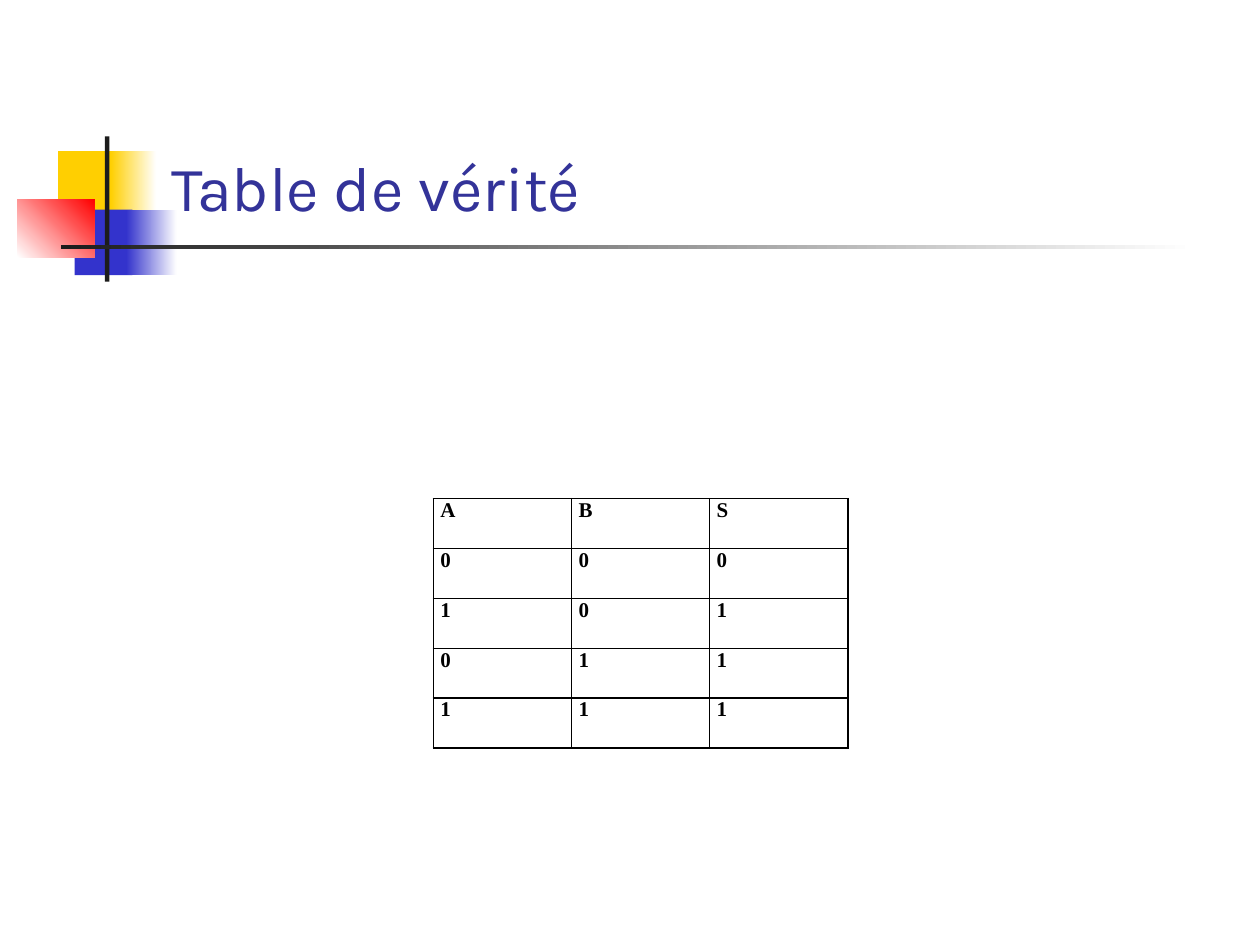
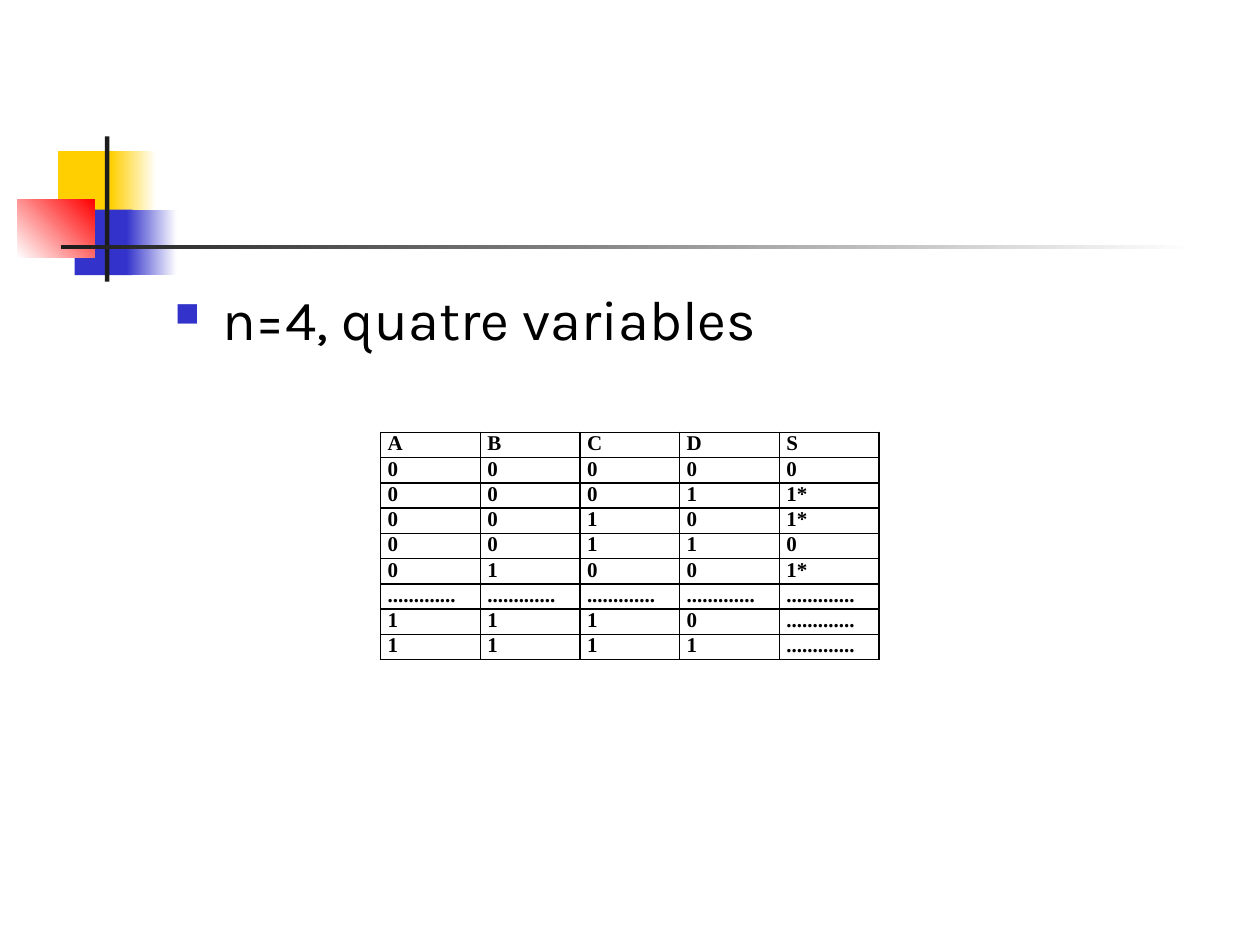
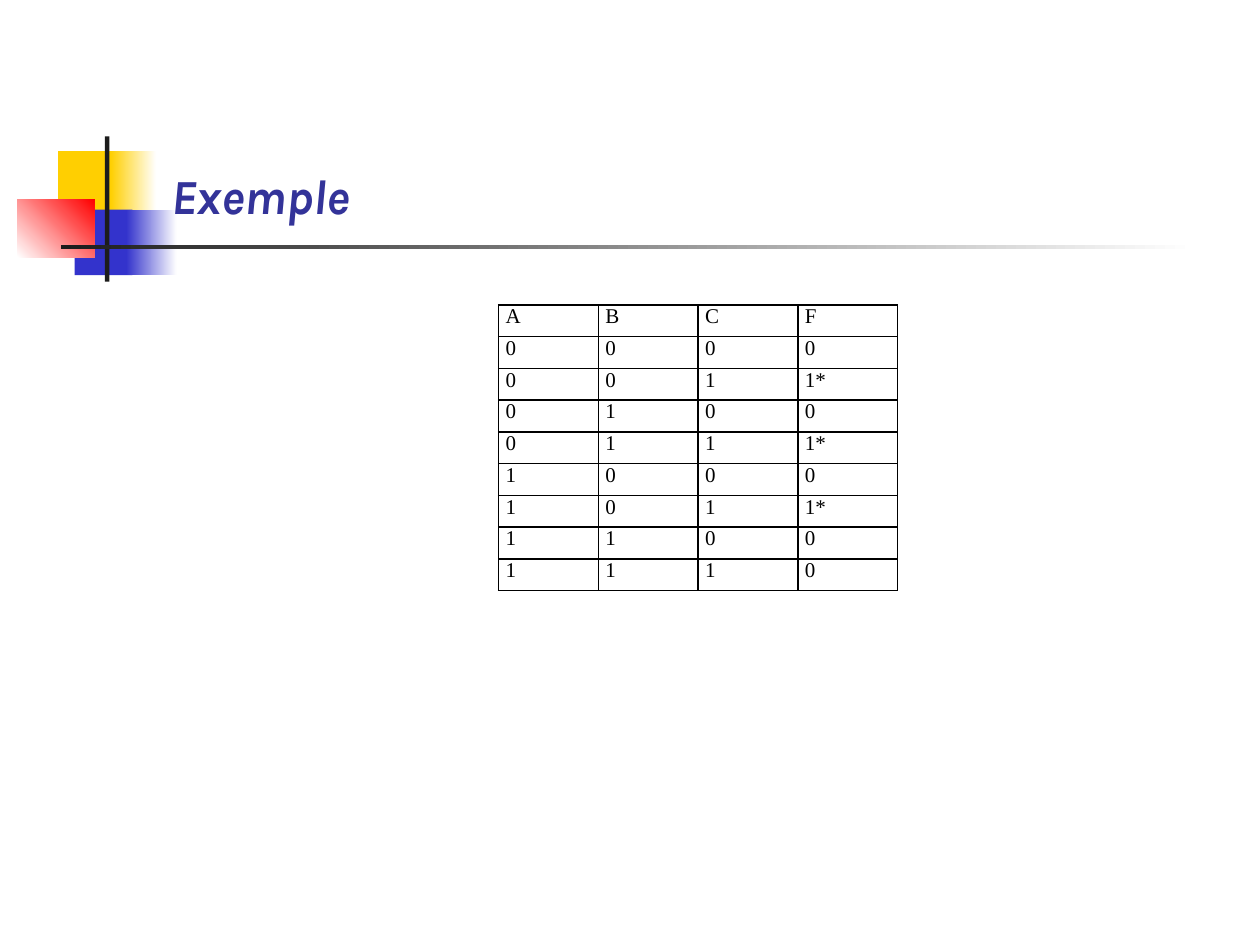
from lxml import etree
from pptx import Presentation
from pptx import util as u
from pptx.dml.color import RGBColor
from pptx.enum import shapes, text
from pptx.oxml import ns

Pt = u.Pt
COLORS = {
    "yellow": "FFCF01",
    "blue": "3333CC",
    "red": "FF0000",
    "dark": "1C1C1C",
    "title": "333399",
    "black": "000000",
    "white": "FFFFFF",
}
HEADING_FONT = "Karla"
TABLE_FONT = "Times New Roman"

# Boxes are left, top, width, height
BAND_BOX = (10, 78, 673, 83)
TITLE_BOX = (90.7, 16.6, 613.4, 115.2)
BODY_BOX = (92.9, 159.1, 612, 324)

# Band parts relative to the band: box, start colour, end colour, angle
BAND_PARTS = [
    ((23.2, 8.4, 34.5, 37.4), "yellow", None, 0),
    ((53.3, 8.4, 26, 37.4), "yellow", "white", 0),
    ((32.7, 41.8, 33, 37.4), "blue", None, 0),
    ((62.2, 41.8, 28.8, 37.4), "blue", "white", 0),
    ((0, 35.8, 44, 33.3), "white", "red", 45),
    ((50, 0, 2.5, 83), "dark", None, 0),
    ((24.8, 62, 648, 2.6), "dark", "white", 0),
]

OR_TABLE = ["A B S", "0 0 0", "1 0 1", "0 1 1", "1 1 1"]
DOTS = "............."
FOUR_VARIABLES_TABLE = [
    "A B C D S",
    "0 0 0 0 0",
    "0 0 0 1 1*",
    "0 0 1 0 1*",
    "0 0 1 1 0",
    "0 1 0 0 1*",
    " ".join([DOTS] * 5),
    f"1 1 1 0 {DOTS}",
    f"1 1 1 1 {DOTS}",
]
EXAMPLE_TABLE = [
    "A B C F",
    "0 0 0 0",
    "0 0 1 1*",
    "0 1 0 0",
    "0 1 1 1*",
    "1 0 0 0",
    "1 0 1 1*",
    "1 1 0 0",
    "1 1 1 0",
]


def rgb(name):
    return RGBColor.from_string(COLORS[name])


def points(box):
    return [Pt(value) for value in box]


def add_element(parent, tag, **attributes):
    return etree.SubElement(parent, ns.qn(tag), attributes)


def set_font(font, name, size, color, bold=False, italic=False):
    font.name, font.size = name, Pt(size)
    font.bold, font.italic = bold, italic
    font.color.rgb = rgb(color)


def add_band(slide, box):
    """Coloured squares and crossing rules beside the title."""
    left, top = box[:2]
    for (x, y, width, height), start, end, angle in BAND_PARTS:
        shape = slide.shapes.add_shape(
            shapes.MSO_SHAPE.RECTANGLE, *points((left + x, top + y, width, height)))
        shape.shadow.inherit = False
        shape.line.fill.background()
        if end is None:
            shape.fill.solid()
            shape.fill.fore_color.rgb = rgb(start)
            continue
        shape.fill.gradient()
        shape.fill.gradient_angle = angle
        for stop, color in zip(shape.fill.gradient_stops, (start, end)):
            stop.color.rgb = rgb(color)


def add_text(slide, box, words, anchor):
    text_frame = slide.shapes.add_textbox(*points(box)).text_frame
    text_frame.word_wrap = True
    text_frame.vertical_anchor = anchor
    text_frame.text = words
    return text_frame.paragraphs[0]


def add_title(slide, box, words, size=36, emphasis=False):
    paragraph = add_text(slide, box, words, text.MSO_ANCHOR.BOTTOM)
    set_font(paragraph.runs[0].font, HEADING_FONT, size, "title", emphasis, emphasis)


def add_bullet(slide, box, words):
    paragraph = add_text(slide, box, words, text.MSO_ANCHOR.TOP)
    properties = paragraph._p.get_or_add_pPr()
    properties.set("marL", str(Pt(27)))
    properties.set("indent", str(-Pt(27)))
    bullet_color = add_element(properties, "a:buClr")
    add_element(bullet_color, "a:srgbClr", val=COLORS["blue"])
    add_element(properties, "a:buSzPct", val="60000")
    add_element(properties, "a:buChar", char="■")
    set_font(paragraph.runs[0].font, HEADING_FONT, 32, "black")


def add_borders(cell):
    properties = cell._tc.get_or_add_tcPr()
    for side in ("a:lnL", "a:lnR", "a:lnT", "a:lnB"):
        line = add_element(properties, side, w=str(Pt(1)))
        fill = add_element(line, "a:solidFill")
        add_element(fill, "a:srgbClr", val=COLORS["black"])


def add_truth_table(slide, position, lines, column_width, row_height, bold=True):
    rows = [line.split() for line in lines]
    row_count, column_count = len(rows), len(rows[0])
    box = (*position, column_count * column_width, row_count * row_height)
    table = slide.shapes.add_table(row_count, column_count, *points(box)).table
    table.first_row = table.horz_banding = False
    for column in table.columns:
        column.width = Pt(column_width)
    for row, values in zip(table.rows, rows):
        row.height = Pt(row_height)
        for cell, value in zip(row.cells, values):
            cell.margin_left = cell.margin_right = Pt(4)
            cell.margin_top = cell.margin_bottom = 0
            add_borders(cell)
            cell.fill.background()
            cell.text_frame.text = value
            paragraph = cell.text_frame.paragraphs[0]
            paragraph.alignment = text.PP_ALIGN.JUSTIFY
            set_font(paragraph.runs[0].font, TABLE_FONT, 12, "black", bold)


def add_slide(presentation):
    slide = presentation.slides.add_slide(presentation.slide_layouts[6])
    add_band(slide, BAND_BOX)
    return slide


def main():
    presentation = Presentation()
    presentation.slide_width, presentation.slide_height = Pt(720), Pt(540)

    # Truth table with two variables
    slide = add_slide(presentation)
    add_title(slide, TITLE_BOX, "Table de vérité")
    add_truth_table(slide, (247.6, 285), OR_TABLE, 79, 28.5)

    # Truth table with four variables
    slide = add_slide(presentation)
    add_bullet(slide, BODY_BOX, "n=4, quatre variables")
    add_truth_table(slide, (217.5, 247), FOUR_VARIABLES_TABLE, 57, 13.4)

    # Example with three variables
    slide = add_slide(presentation)
    add_title(slide, TITLE_BOX, "Exemple", size=28, emphasis=True)
    add_truth_table(slide, (285, 174.2), EXAMPLE_TABLE, 57, 18.15, bold=False)

    presentation.save("out.pptx")


if __name__ == "__main__":
    main()
